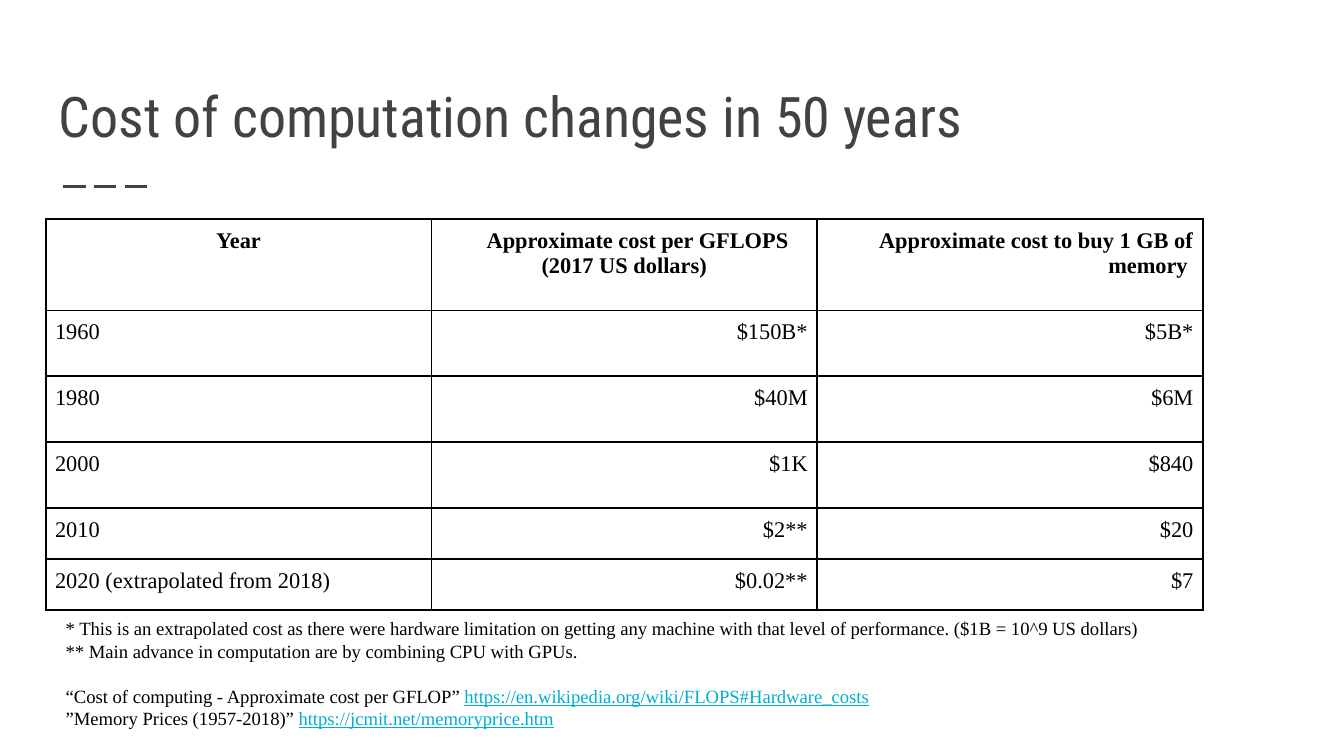
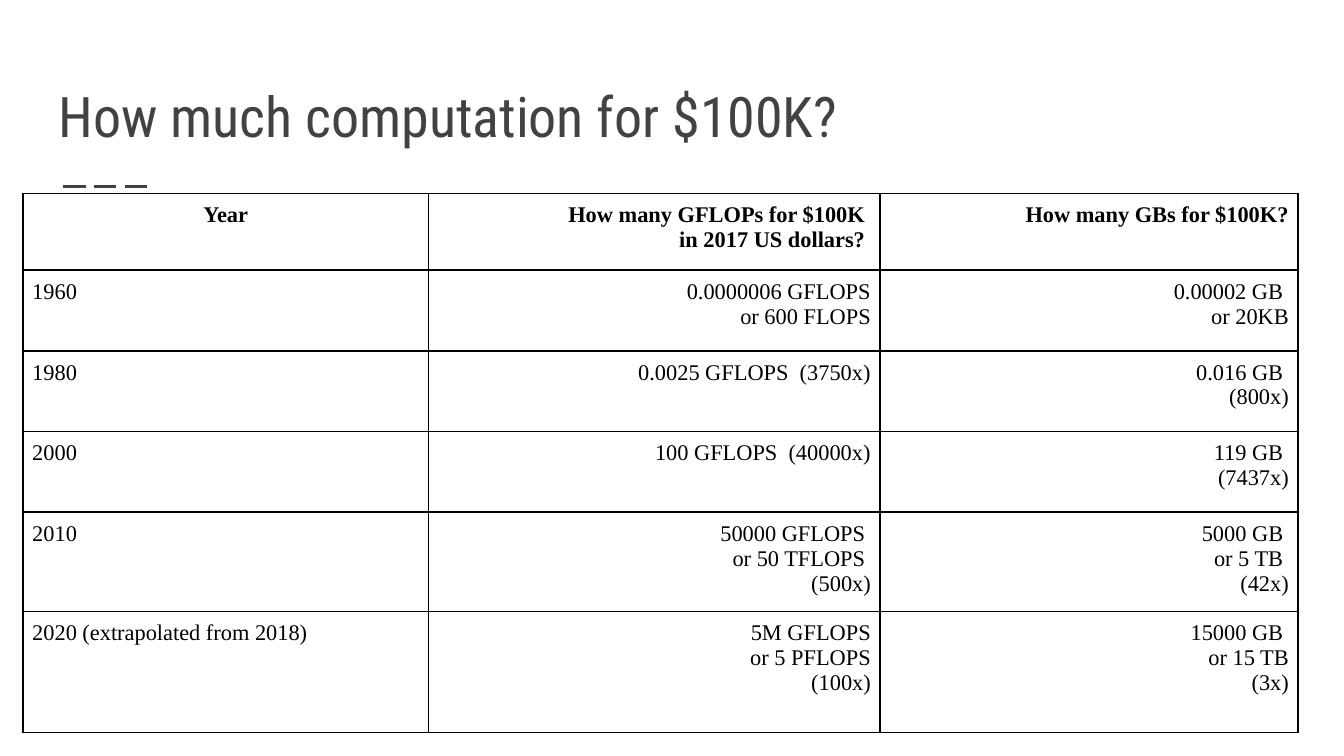
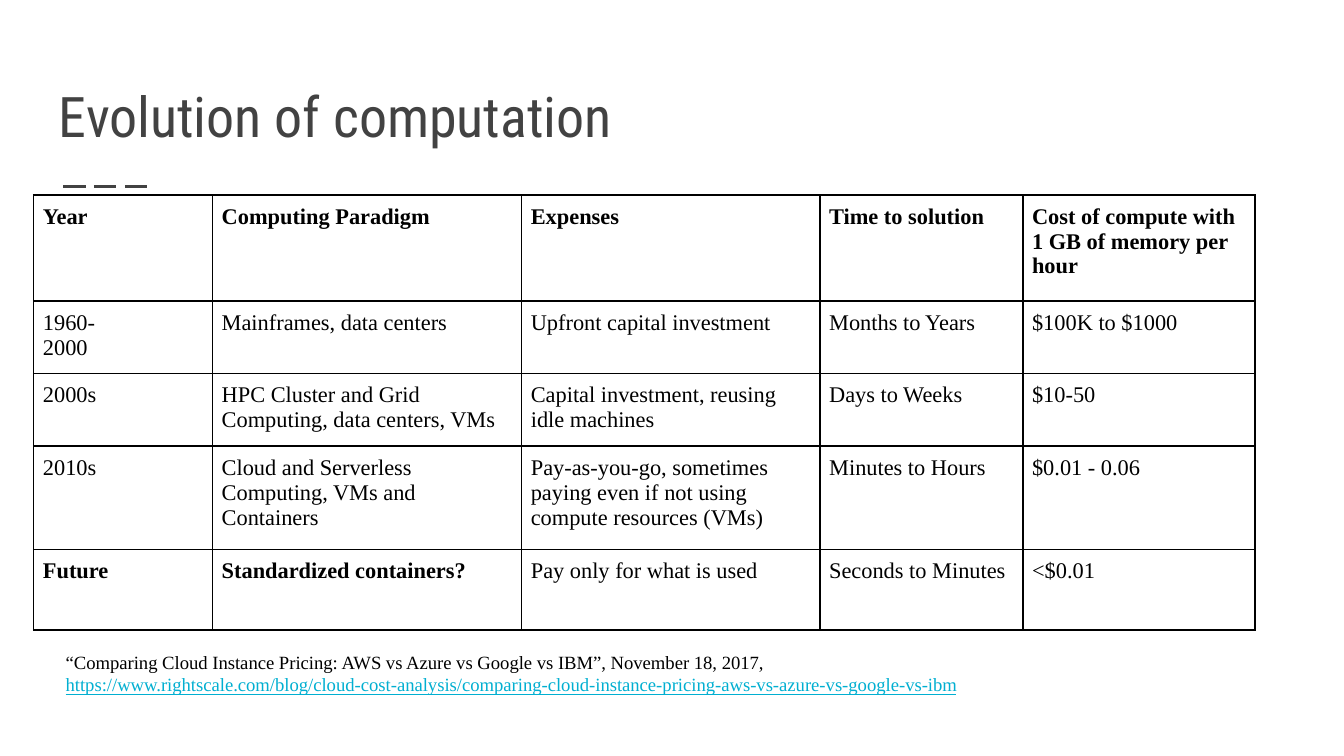
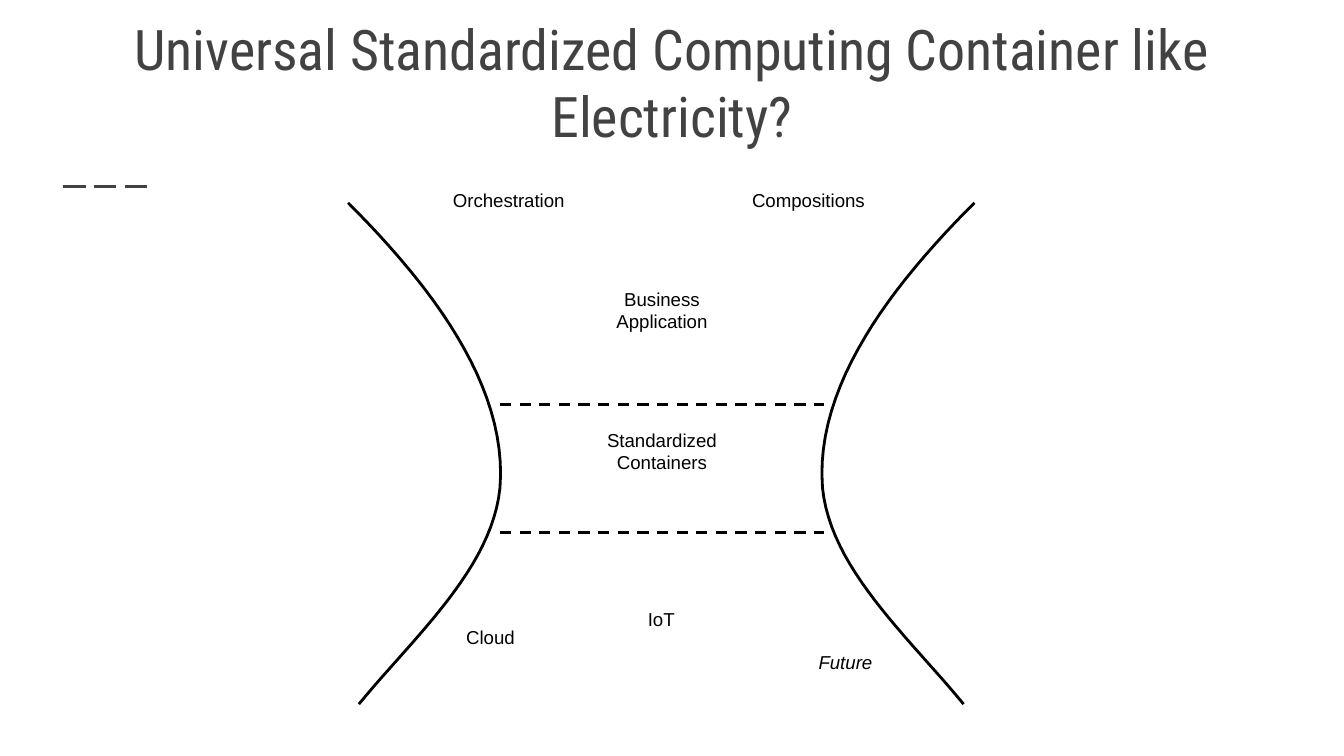
"""Build four slides on the falling cost of computation."""
from dataclasses import dataclass

from lxml import etree
from pptx import Presentation
from pptx import util as u
from pptx.dml.color import RGBColor
from pptx.enum import dml, shapes, text
from pptx.oxml import ns


@dataclass(frozen=True)
class Theme:
    ink: str = "000000"
    grey: str = "424242"
    link: str = "01AFD1"
    head: str = "Roboto Condensed"
    serif: str = "Times New Roman"
    sans: str = "Arial"
    big: int = 30
    mid: int = 12
    small: int = 10
    rule: float = 1.5
    edge: float = 1
    gap: int = 6
    pad: float = 0.07


T = Theme()
SIDES = {"l": text.PP_ALIGN.LEFT, "c": text.PP_ALIGN.CENTER, "r": text.PP_ALIGN.RIGHT}
DASH = dml.MSO_LINE.DASH
LONG = dml.MSO_LINE.LONG_DASH

YEARS = ["1960", "1980", "2000", "2010", "2020 (extrapolated from 2018)"]

TABLES = [
    {
        "title": "Cost of computation changes in 50 years",
        "at": (0.34, 1.63),
        "cols": [2.87, 2.87, 2.87],
        "rows": [0.68, 0.49, 0.49, 0.49, 0.38, 0.38],
        "head": "ccr", "body": "lrr", "loose": 4, "bold": [],
        "cells": [
            ("Year", "Approximate cost per GFLOPS (2017 US dollars)",
             "Approximate cost to buy 1 GB of memory "),
            *zip(YEARS, ["$150B*", " $40M", "$1K", "$2**", "$0.02**"],
                 ["$5B*", "$6M", "$840", "$20", "$7"]),
        ],
        "notes": [
            (0, "* This is an extrapolated cost as there were hardware limitation on getting "
                "any machine with that level of performance. ($1B = 10^9 US dollars)", ""),
            (0, "** Main advance in computation are by combining CPU with GPUs.", ""),
            (12, "“Cost of computing - Approximate cost per GFLOP” ",
             "https://en.wikipedia.org/wiki/FLOPS#Hardware_costs"),
            (0, "”Memory Prices (1957-2018)” ", "https://jcmit.net/memoryprice.htm"),
        ],
    },
    {
        "title": "How much computation for $100K?",
        "at": (0.17, 1.44),
        "cols": [3.02, 3.36, 3.11],
        "rows": [0.57, 0.6, 0.6, 0.6, 0.71, 0.9],
        "head": "crr", "body": "lrr", "loose": 4, "bold": [],
        "cells": [
            ("Year", "How many GFLOPs for $100K \n in 2017 US dollars? ",
             "How many GBs for $100K?"),
            *zip(YEARS,
                 ["0.0000006 GFLOPS\nor 600 FLOPS", " 0.0025 GFLOPS  (3750x)",
                  "100 GFLOPS  (40000x)", "50000 GFLOPS \nor 50 TFLOPS \n(500x)",
                  "5M GFLOPS\nor 5 PFLOPS\n(100x)"],
                 ["0.00002 GB \nor 20KB", "0.016 GB \n(800x)", "119 GB \n(7437x)",
                  "5000 GB \nor 5 TB \n(42x)", "15000 GB \nor 15 TB\n(3x)"]),
        ],
        "notes": [],
    },
    {
        "title": "Evolution of computation",
        "at": (0.25, 1.45),
        "cols": [1.33, 2.3, 2.22, 1.51, 1.73],
        "rows": [0.79, 0.45, 0.54, 0.77, 0.6],
        "head": "lllll", "body": "lllll", "loose": 0, "bold": [(4, 0), (4, 1)],
        "cells": [
            ("Year", "Computing Paradigm", "Expenses", "Time to solution",
             "Cost of compute with 1 GB of memory per hour"),
            ("1960-\n2000", "Mainframes, data centers", "Upfront capital investment",
             "Months to Years", "$100K to $1000"),
            ("2000s", "HPC Cluster and Grid Computing, data centers, VMs",
             "Capital investment, reusing idle machines", "Days to Weeks", "$10-50"),
            ("2010s", "Cloud and Serverless Computing, VMs and Containers",
             "Pay-as-you-go, sometimes paying even if not using compute resources (VMs)",
             "Minutes to Hours", "$0.01 - 0.06"),
            ("Future", "Standardized containers?", "Pay only for what is used",
             "Seconds to Minutes", "<$0.01"),
        ],
        "notes": [
            (0, "“Comparing Cloud Instance Pricing: AWS vs Azure vs Google vs IBM”, "
                "November 18, 2017, ",
             "https://www.rightscale.com/blog/cloud-cost-analysis/"
             "comparing-cloud-instance-pricing-aws-vs-azure-vs-google-vs-ibm"),
        ],
    },
]

GLASS = {
    "title": "Universal Standardized Computing Container like Electricity?",
    "curve": [(2.59, 1.51), (3.19, 2.11), (3.78, 2.86), (3.72, 3.63),
              (3.66, 4.23), (3.09, 4.73), (2.67, 5.24)],
    "span": 9.84,
    "neck": (3.72, 6.13),
    "levels": [3.01, 3.96],
    "labels": [
        ("Standardized\nContainers", (3.81, 3.09, 2.23, 0.9)),
        ("Cloud", (2.8, 4.57, 1.7, 0.56)),
        ("IoT", (4.07, 4.44, 1.7, 0.56)),
        ("Future", (5.44, 4.76, 1.7, 0.56)),
        ("Business\nApplication", (3.95, 2.04, 1.95, 0.9)),
        ("Compositions", (4.9, 1.32, 2.23, 0.56)),
        ("Orchestration", (2.67, 1.32, 2.23, 0.56)),
    ],
    "slant": "Future",
}


def style(run, face, size, color=T.ink, bold=False):
    font = run.font
    font.name, font.size, font.bold = face, u.Pt(size), bold
    font.color.rgb = RGBColor.from_string(color)


def write(para, words, side, face, size, color=T.ink, bold=False):
    para.text = words
    para.alignment = SIDES[side]
    for run in para.runs:
        style(run, face, size, color, bold)
    points = str(size * 100)
    for gap in para._p.findall(ns.qn("a:br")):
        etree.SubElement(gap, ns.qn("a:rPr"), sz=points)
    etree.SubElement(para._p, ns.qn("a:endParaRPr"), sz=points)


def box(slide, at, anchor=text.MSO_ANCHOR.TOP):
    frame = slide.shapes.add_textbox(*map(u.Inches, at)).text_frame
    frame.word_wrap = True
    frame.vertical_anchor = anchor
    frame.margin_left = frame.margin_right = u.Inches(0.1)
    frame.margin_top = frame.margin_bottom = u.Inches(0.1)
    return frame


def stroke(line, color):
    line.color.rgb = RGBColor.from_string(color)
    line.width = u.Pt(T.rule)


def dashes(slide, left, right, top, color, dash):
    ends = map(u.Inches, (left, top, right, top))
    rule = slide.shapes.add_connector(shapes.MSO_CONNECTOR.STRAIGHT, *ends)
    stroke(rule.line, color)
    rule.line.dash_style = dash
    etree.SubElement(rule._element.spPr, ns.qn("a:effectLst"))


def start(deck, title, side="l"):
    slide = deck.slides.add_slide(deck.slide_layouts[6])
    dashes(slide, 0.47, 1.14, 1.39, T.grey, LONG)
    frame = box(slide, (0.34, 0.41, 9.32, 0.8), text.MSO_ANCHOR.BOTTOM)
    write(frame.paragraphs[0], title, side, T.head, T.big, T.grey)
    return slide


def frame_cell(cell):
    props = cell._tc.get_or_add_tcPr()
    for tag in ("a:lnL", "a:lnR", "a:lnT", "a:lnB"):
        edge = etree.SubElement(props, ns.qn(tag), w=str(u.Pt(T.edge)))
        fill = etree.SubElement(edge, ns.qn("a:solidFill"))
        etree.SubElement(fill, ns.qn("a:srgbClr"), val=T.ink)
    cell.fill.background()
    cell.margin_left = cell.margin_right = u.Inches(T.pad)
    cell.margin_top = cell.margin_bottom = u.Inches(T.pad)


def grid(slide, data):
    cols, rows = data["cols"], data["rows"]
    area = map(u.Inches, (*data["at"], sum(cols), sum(rows)))
    table = slide.shapes.add_table(len(rows), len(cols), *area).table
    for col, width in zip(table.columns, cols):
        col.width = u.Inches(width)
    for row, height in zip(table.rows, rows):
        row.height = u.Inches(height)
    for r, line in enumerate(data["cells"]):
        sides = data["body"] if r else data["head"]
        for c, words in enumerate(line):
            cell = table.cell(r, c)
            frame_cell(cell)
            para = cell.text_frame.paragraphs[0]
            bold = r == 0 or (r, c) in data["bold"]
            write(para, words, sides[c], T.serif, T.mid, T.ink, bold)
            if c and r < data["loose"]:
                para.space_after = u.Pt(T.gap)
                para._p.get_or_add_pPr().set("indent", str(u.Inches(0.2)))


def notes(slide, lines):
    frame = box(slide, (0.39, 4.54, 8.52, 0.94), text.MSO_ANCHOR.MIDDLE)
    for i, (gap, words, link) in enumerate(lines):
        para = frame.add_paragraph() if i else frame.paragraphs[0]
        write(para, words, "l", T.serif, T.small)
        if gap:
            para.space_before = u.Pt(gap)
        if link:
            run = para.add_run()
            run.text = link
            style(run, T.serif, T.small, T.link)
            run.font.underline = True


def bezier(a, b, c, d, steps=24):
    for i in range(1, steps + 1):
        t = i / steps
        s = 1 - t
        yield tuple(s**3 * p + 3 * s * s * t * q + 3 * s * t * t * v + t**3 * w
                    for p, q, v, w in zip(a, b, c, d))


def curve(slide, knots):
    first, *rest = [knots[0], *bezier(*knots[:4]), *bezier(*knots[3:])]
    path = slide.shapes.build_freeform(*map(u.Inches, first))
    path.add_line_segments([(u.Inches(x), u.Inches(y)) for x, y in rest], close=False)
    shape = path.convert_to_shape()
    shape.shadow.inherit = False
    shape.fill.background()
    stroke(shape.line, T.ink)


def glass(slide, data):
    curve(slide, data["curve"])
    curve(slide, [(data["span"] - x, y) for x, y in data["curve"]])
    for words, at in data["labels"]:
        para = box(slide, at).paragraphs[0]
        write(para, words, "c", T.sans, T.small)
        for run in para.runs:
            run.font.italic = words == data["slant"]
    for top in data["levels"]:
        dashes(slide, *data["neck"], top, T.ink, DASH)


def main():
    deck = Presentation()
    deck.slide_width = u.Inches(10)
    deck.slide_height = deck.slide_width * 9 // 16
    for data in TABLES:
        slide = start(deck, data["title"])
        grid(slide, data)
        if data["notes"]:
            notes(slide, data["notes"])
    glass(start(deck, GLASS["title"], "c"), GLASS)
    deck.save("out.pptx")


if __name__ == "__main__":
    main()
